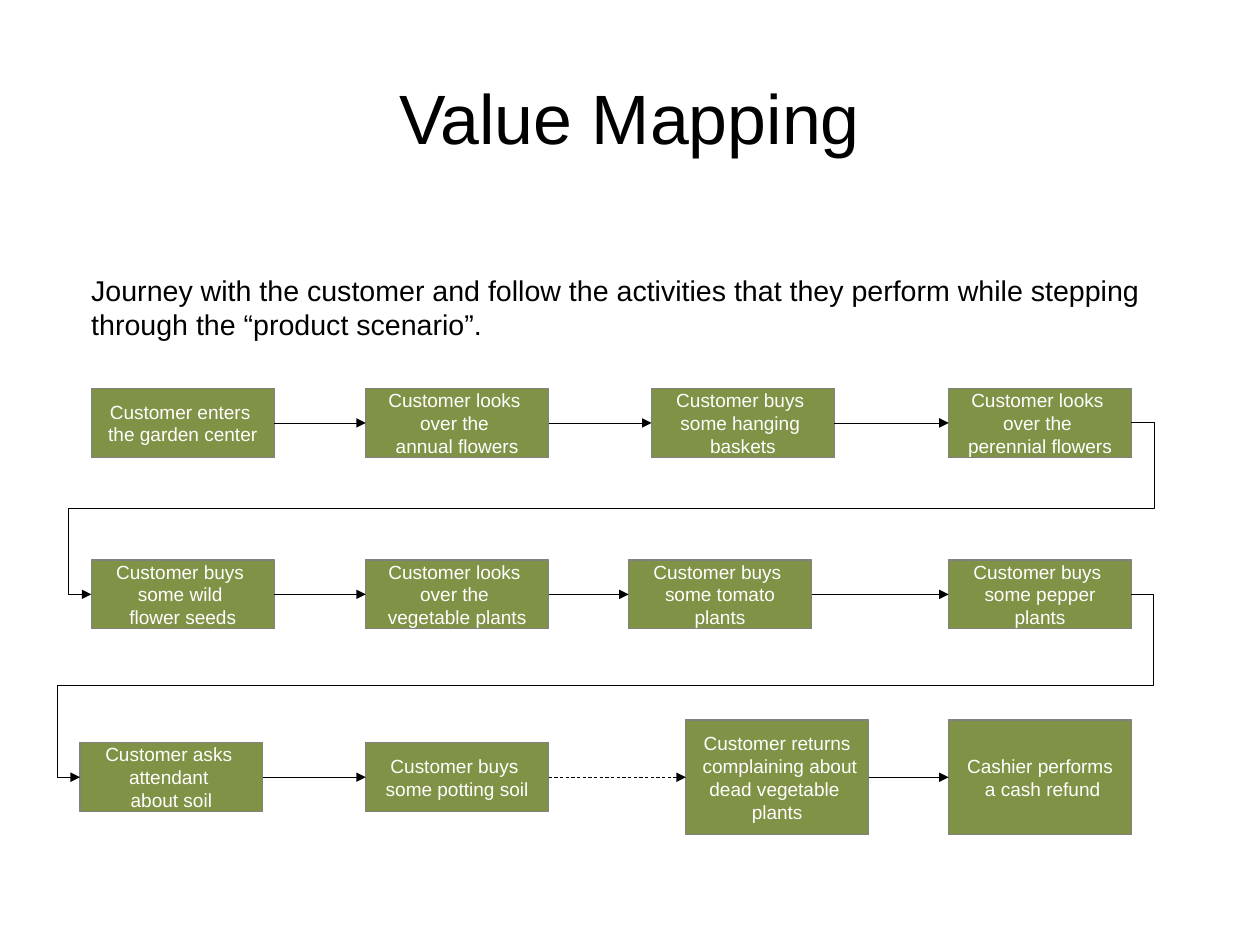
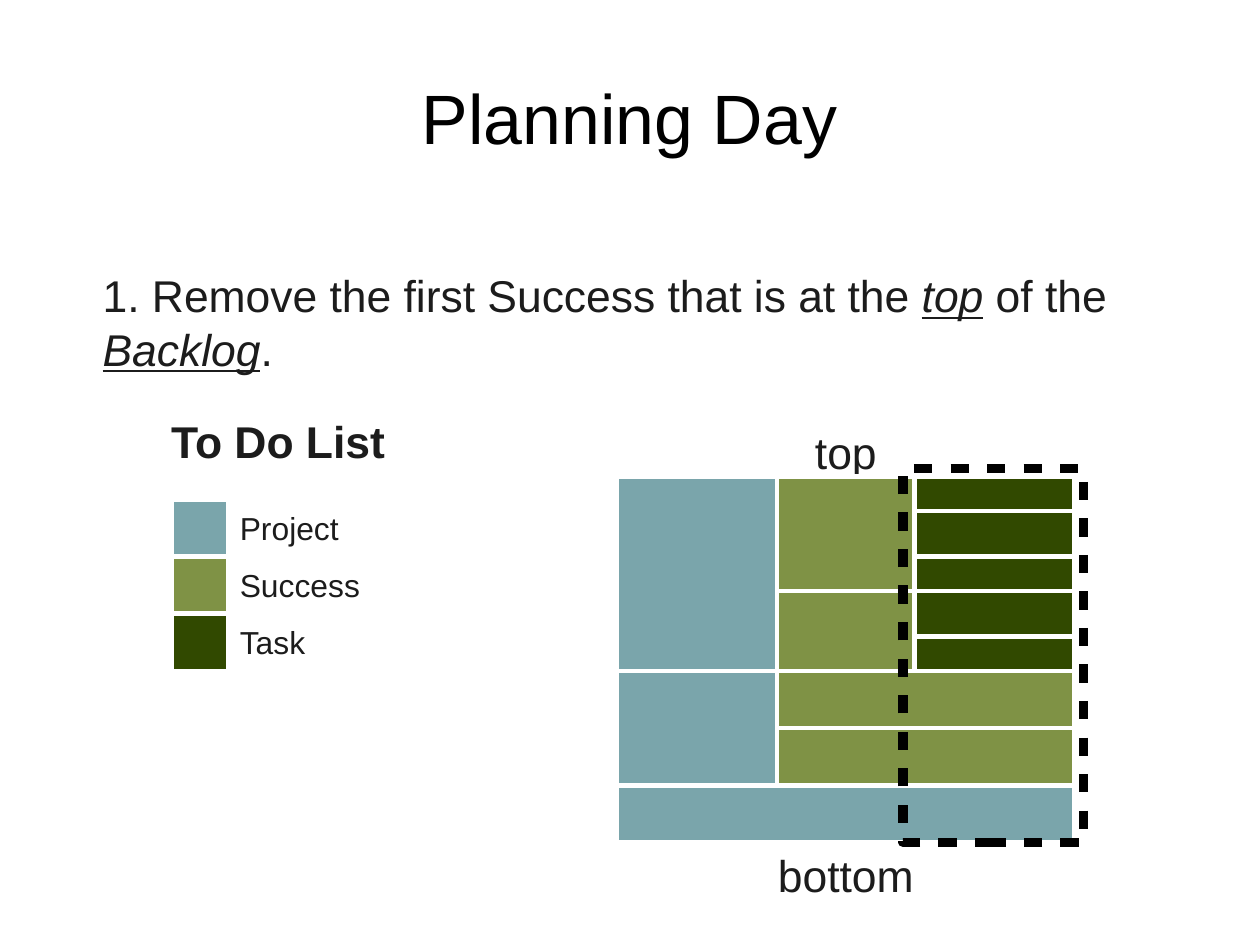
from lxml.etree import SubElement
from pptx import Presentation
from pptx.dml.color import RGBColor
from pptx.enum.shapes import MSO_CONNECTOR as Link, MSO_SHAPE as Shape
from pptx.enum.text import MSO_ANCHOR as Anchor, PP_ALIGN as Align
from pptx.oxml.ns import qn
from pptx.util import Cm, Inches, Pt

FONT = "Arial"
BLACK, WHITE, INK, GREY = "000000", "FFFFFF", "1C1C1C", "808080"
BLUE, GREEN, DARK = "7AA5AB", "7F9245", "314900"

INTRO = ("Journey with the customer and follow the activities that they perform "
         "while stepping through the “product scenario”.")
BOX_W, BOX_H = 1.6, 0.6
# Row centre, reach of the loop into the row, then left edge, height and label
ROWS = [
    (3.7, 0, [(0.8, BOX_H, "Customer enters \nthe garden center"),
              (3.2, BOX_H, "Customer looks \nover the \nannual flowers"),
              (5.7, BOX_H, "Customer buys \nsome hanging \nbaskets"),
              (8.3, BOX_H, "Customer looks \nover the \nperennial flowers")]),
    (5.2, 0.2, [(0.8, BOX_H, "Customer buys \nsome wild \nflower seeds"),
                (3.2, BOX_H, "Customer looks \nover the \nvegetable plants"),
                (5.5, BOX_H, "Customer buys \nsome tomato plants"),
                (8.3, BOX_H, "Customer buys \nsome pepper plants")]),
    (6.8, 0.19, [(0.7, BOX_H, "Customer asks \nattendant \nabout soil"),
                 (3.2, BOX_H, "Customer buys \nsome potting soil"),
                 (6.0, 1.0, "Customer returns\n complaining about \n"
                            "dead vegetable \nplants"),
                 (8.3, 1.0, "Cashier performs\n a cash refund")]),
]
DOTTED = (2, 1)  # row and step where the dotted arrow starts

# Text and whether it is stressed
STEP = [("1. Remove the first Success that is at the ", False), ("top", True),
        (" of the ", False), ("Backlog", True), (".", False)]
LEGEND = [("Project", BLUE), ("Success", GREEN), ("Task", DARK)]
KEY_X, KEY_Y, KEY = 1.5, 4.37, 0.5
TOP = 4.17
# Left, top, width, colour, heights of the stacked tiles
STACKS = [
    (5.4, TOP, 1.4, BLUE, (1.7, 1.0)),
    (6.8, TOP, 1.2, GREEN, (1.0, 0.7)),
    (6.8, TOP + 1.7, 2.6, GREEN, (0.5, 0.5)),
    (8.0, TOP, 1.4, DARK, (0.3, 0.4, 0.3, 0.4, 0.3)),
    (5.4, TOP + 2.7, 4.0, BLUE, (0.5,)),
]


def rgb(code):
    return RGBColor.from_string(code)


def style(par, size, color, align=Align.LEFT, bold=False):
    par.alignment = align
    font = par.font
    font.name, font.size, font.bold = FONT, Pt(size), bold
    font.color.rgb = rgb(color)


def write(slide, area, runs, size, color=INK, align=Align.LEFT, bold=False):
    box = slide.shapes.add_textbox(*map(Inches, area))
    frame = box.text_frame
    frame.word_wrap = True
    par = frame.paragraphs[0]
    for text, stress in runs:
        run = par.add_run()
        run.text = text
        if stress:
            run.font.italic = run.font.underline = True
    style(par, size, color, align, bold)
    return frame


def start(prs, title):
    """Add a blank slide with the shared title."""
    slide = prs.slides.add_slide(prs.slide_layouts[6])
    frame = write(slide, (0.55, 0.33, 9.92, 1.38), [(title, False)], 44,
                  BLACK, Align.CENTER)
    frame.vertical_anchor = Anchor.MIDDLE
    frame.margin_left = frame.margin_right = 0
    frame.margin_top = frame.margin_bottom = 0
    return slide


def rect(slide, area, fill, line, width):
    box = slide.shapes.add_shape(Shape.RECTANGLE, *map(Inches, area))
    box.shadow.inherit = False
    if fill:
        box.fill.solid()
        box.fill.fore_color.rgb = rgb(fill)
    else:
        box.fill.background()
    box.line.color.rgb = rgb(line)
    box.line.width = Pt(width)
    return box


def dash(shape, on, gap):
    """Dash the outline; lengths are multiples of the line width."""
    line = shape._element.spPr.find(qn("a:ln"))
    cust = SubElement(line, qn("a:custDash"))
    SubElement(cust, qn("a:ds"), d=str(on * 100000), sp=str(gap * 100000))


def arrow(slide, a, b, reach, dotted=False):
    """Join the right side of a to the left side of b, looping back if needed."""
    back = b.left < a.left
    kind = Link.ELBOW if back else Link.STRAIGHT
    link = slide.shapes.add_connector(
        kind, a.left + a.width, a.top + a.height // 2,
        b.left, b.top + b.height // 2)
    link.begin_connect(a, 3)
    link.end_connect(b, 1)
    link.line.color.rgb = rgb(BLACK)
    link.line.width = Pt(0.5)
    props = link._element.spPr
    if back:
        geom = props.find(qn("a:prstGeom"))
        geom.set("prst", "bentConnector5")
        out = round(Inches(reach) / link.width * 100000)
        guides = geom.find(qn("a:avLst"))
        for i, val in enumerate((-out, 50000, 100000 + out), 1):
            SubElement(guides, qn("a:gd"), name=f"adj{i}", fmla=f"val {val}")
    if dotted:
        dash(link, 4, 3)
    SubElement(props.find(qn("a:ln")), qn("a:tailEnd"), type="triangle")
    SubElement(props, qn("a:effectLst"))


def stack(slide, left, top, width, color, sizes):
    for size in sizes:
        rect(slide, (left, top, width, size), color, WHITE, 2.89)
        top += size


def mapping(prs):
    slide = start(prs, "Value Mapping")
    write(slide, (0.7, 2.34, 9.6, 0.86), [(INTRO, False)], 18, BLACK)
    last = None
    for row, (mid, reach, steps) in enumerate(ROWS):
        for col, (left, high, label) in enumerate(steps):
            box = rect(slide, (left, mid - high / 2, BOX_W, high), GREEN, GREY, 0)
            frame = box.text_frame
            frame.word_wrap = True
            frame.vertical_anchor = Anchor.MIDDLE
            frame.text = label
            for par in frame.paragraphs:
                style(par, 12, WHITE, Align.CENTER)
            if last:
                arrow(slide, last, box, reach, (row, col - 1) == DOTTED)
            last = box


def planning(prs):
    slide = start(prs, "Planning Day")
    write(slide, (0.8, 2.3, 9.4, 0.97), STEP, 28)
    write(slide, (1.4, 3.57, 2.4, 0.54), [("To Do List", False)], 28, bold=True)
    for text, top in (("top", 3.67), ("bottom", 7.37)):
        write(slide, (5.5, top, 3.8, 0.53), [(text, False)], 28, align=Align.CENTER)
    for item in STACKS:
        stack(slide, *item)
    for i, (name, color) in enumerate(LEGEND):
        top = KEY_Y + i * KEY
        rect(slide, (KEY_X, top, KEY, KEY), color, WHITE, 2.89)
        write(slide, (KEY_X + KEY, top + 0.03, 1.9, 0.41), [(name, False)], 20)
    dash(rect(slide, (7.9, 4.1, 1.58, 3.27), None, BLACK, 5.75), 2, 2)


def main():
    prs = Presentation()
    prs.slide_width, prs.slide_height = Cm(28), Cm(21)
    mapping(prs)
    planning(prs)
    prs.save("out.pptx")


if __name__ == "__main__":
    main()
